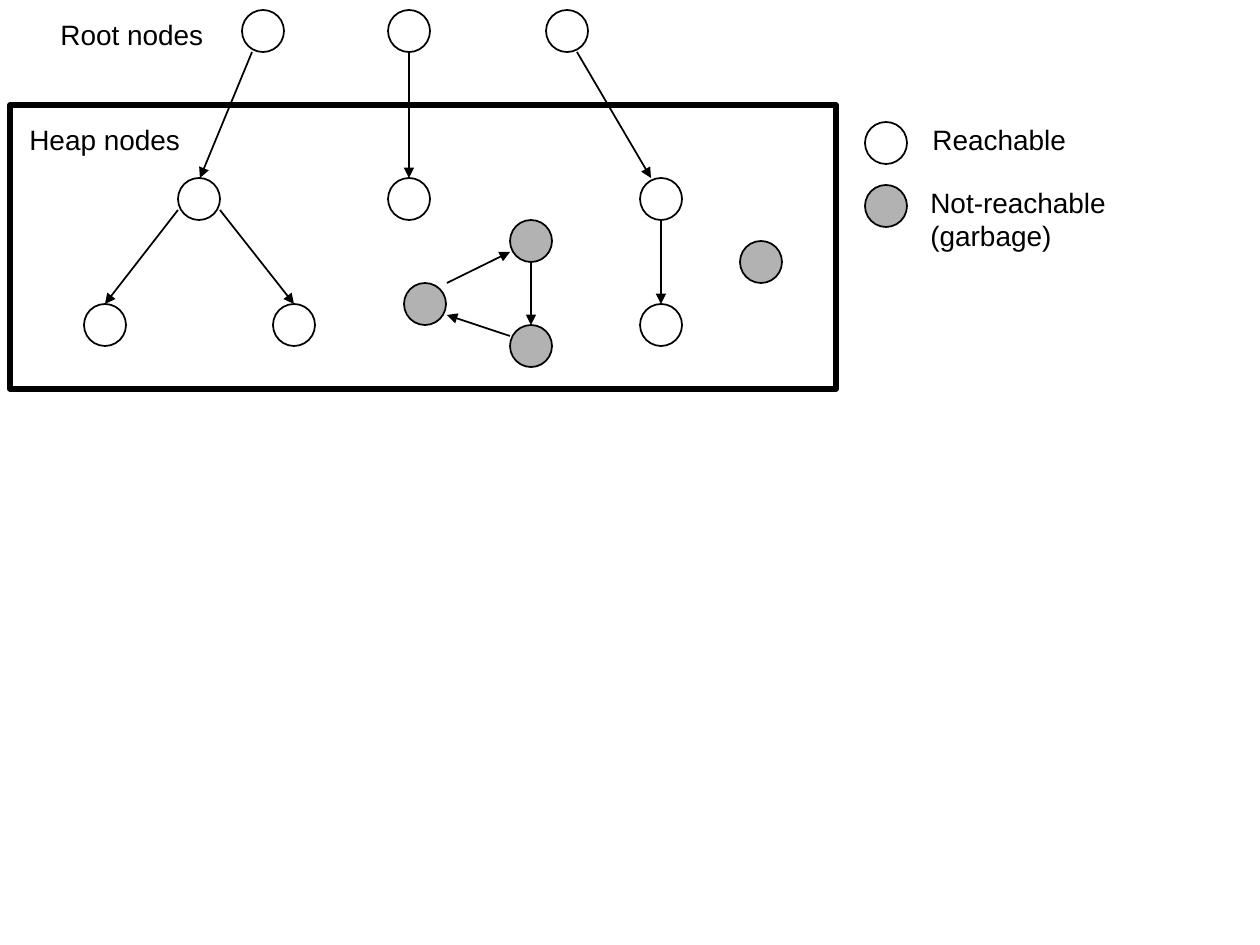
from lxml import etree
from pptx import Presentation, util as u
from pptx.dml.color import RGBColor
from pptx.enum import shapes, text
from pptx.oxml.ns import qn

SCALE = 914400 / 126
NODE = 42
BLACK, WHITE, GRAY = "000000", "FFFFFF", "B2B2B2"

REACHABLE = [
    (242, 10), (388, 10), (546, 10),
    (178, 178), (388, 178), (640, 178),
    (84, 304), (273, 304), (640, 304),
]
GARBAGE = [(510, 220), (510, 325), (404, 283), (740, 241)]
LEGEND = [(865, 122, WHITE), (865, 185, GRAY)]
POINTERS = [
    (252, 52, 200, 178), (409, 52, 409, 178), (577, 52, 651, 178),
    (178, 210, 105, 304), (220, 210, 294, 304), (661, 220, 661, 304),
    (531, 262, 531, 325), (510, 336, 447, 315), (447, 283, 510, 252),
]
LABELS = [
    ("Root nodes", 48, 11, 169, 47),
    ("Heap nodes", 17, 116, 176, 47),
    ("Reachable", 920, 116, 159, 47),
    ("Not-reachable\v(garbage)", 918, 179, 202, 81),
]


def px(n):
    return u.Emu(round(n * SCALE))


def color(value):
    return RGBColor.from_string(value)


def add_outlined(s, kind, x, y, w, h, weight, fill=None):
    sp = s.shapes.add_shape(kind, px(x), px(y), px(w), px(h))
    sp.shadow.inherit = False
    if fill:
        sp.fill.solid()
        sp.fill.fore_color.rgb = color(fill)
    else:
        sp.fill.background()
    sp.line.color.rgb = color(BLACK)
    sp.line.width = u.Pt(weight)


def add_node(s, x, y, fill):
    add_outlined(s, shapes.MSO_SHAPE.OVAL, x, y, NODE, NODE, 1, fill)


def add_pointer(s, x1, y1, x2, y2):
    line = s.shapes.add_connector(
        shapes.MSO_CONNECTOR.STRAIGHT, px(x1), px(y1), px(x2), px(y2))
    line.line.color.rgb = color(BLACK)
    line.line.width = u.Pt(1)
    etree.SubElement(line.line._get_or_add_ln(), qn("a:tailEnd"), type="triangle")
    etree.SubElement(line._element.spPr, qn("a:effectLst"))


def add_label(s, words, x, y, w, h):
    tf = s.shapes.add_textbox(px(x), px(y), px(w), px(h)).text_frame
    tf.word_wrap = False
    tf.auto_size = text.MSO_AUTO_SIZE.SHAPE_TO_FIT_TEXT
    p = tf.paragraphs[0]
    p.text = words
    p.font.name = "Arial"
    p.font.size = u.Pt(16)
    p.font.color.rgb = color(BLACK)


def main():
    prs = Presentation()
    prs.slide_width, prs.slide_height = px(1260), px(945)
    s = prs.slides.add_slide(prs.slide_layouts[6])
    add_outlined(s, shapes.MSO_SHAPE.RECTANGLE, 10, 105, 826, 284, 3)
    for x, y in REACHABLE:
        add_node(s, x, y, WHITE)
    for x, y in GARBAGE:
        add_node(s, x, y, GRAY)
    for x, y, fill in LEGEND:
        add_node(s, x, y, fill)
    for pointer in POINTERS:
        add_pointer(s, *pointer)
    for label in LABELS:
        add_label(s, *label)
    prs.save("out.pptx")


if __name__ == "__main__":
    main()
